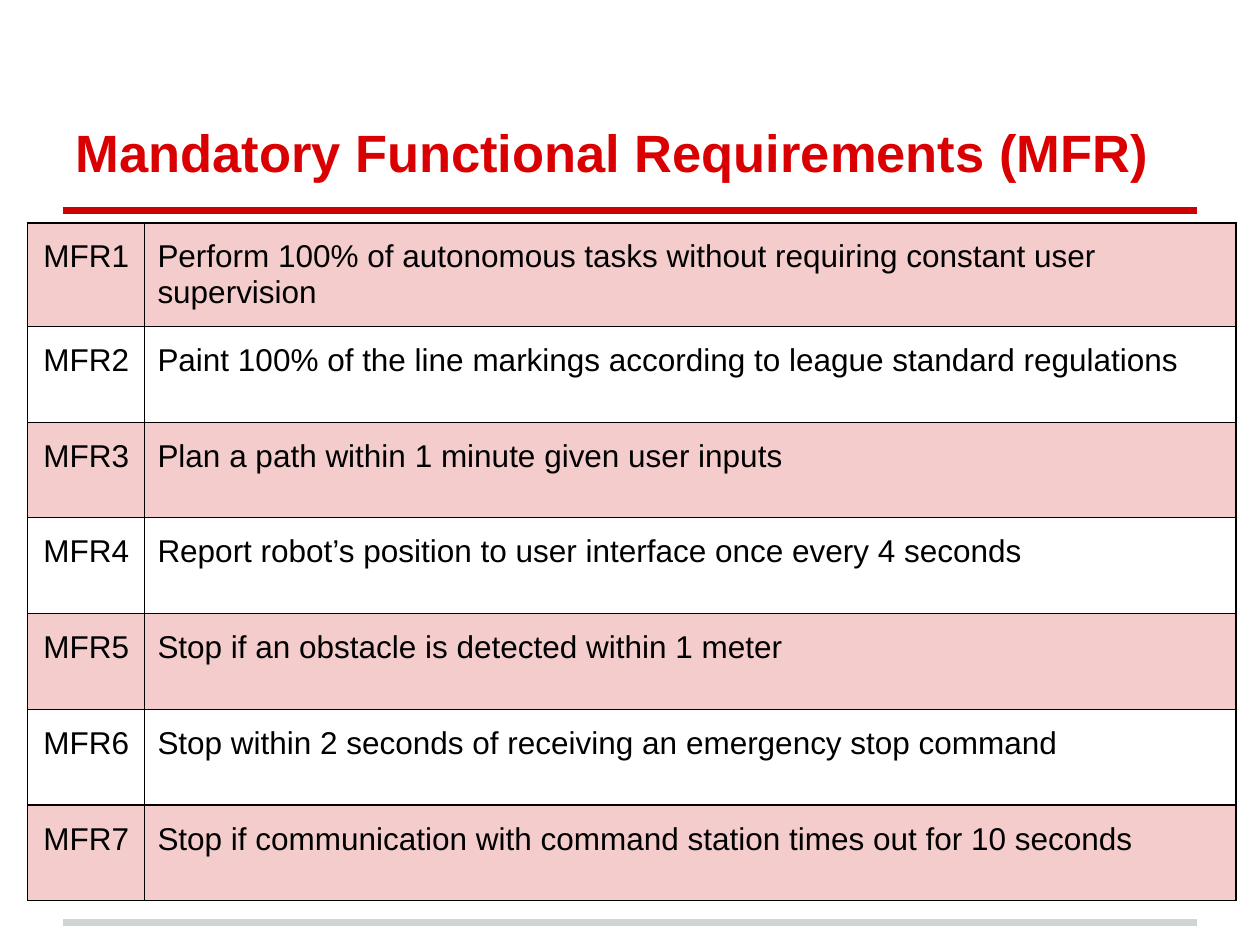
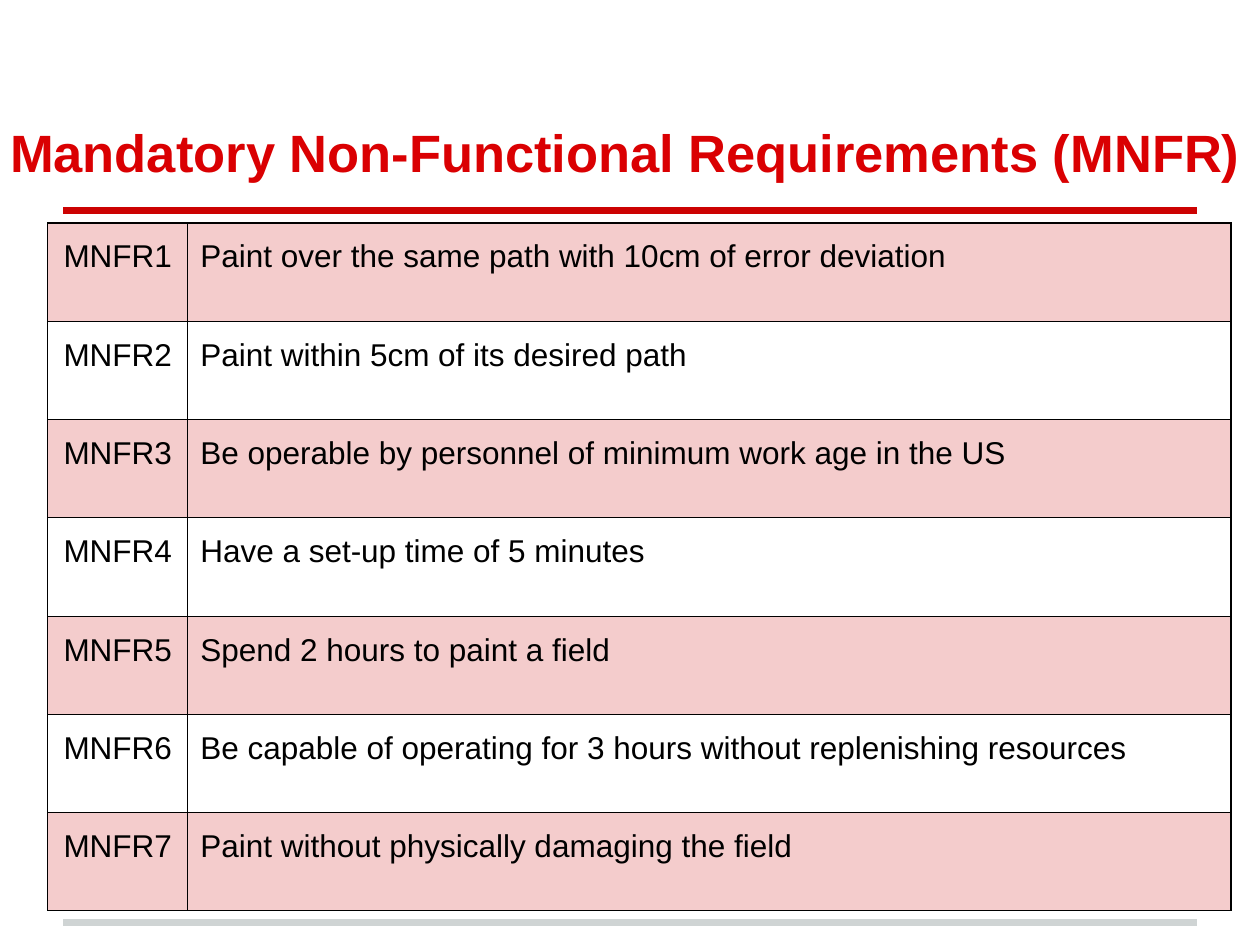
import pptx
import pptx.dml.color
import pptx.enum.shapes
import pptx.enum.text
import pptx.oxml
import pptx.util
from pptx.util import Inches

HEX = {"title": "DA0002", "rule": "CC0202", "foot": "CFD4D4",
       "band": "F4CCCC", "text": "000000", "edge": "000000"}
FONTS = {"title": {"name": "Arial", "size": pptx.util.Pt(30), "bold": True},
         "text": {"name": "Arial", "size": pptx.util.Pt(18), "bold": False}}
ALIGN = pptx.enum.text.PP_ALIGN
NS = 'xmlns:a="http://schemas.openxmlformats.org/drawingml/2006/main"'

SLIDES = [
    {"title": "Mandatory Functional Requirements (MFR)",
     "head": (0.5, 0.3, 9, 1.25), "code": "MFR",
     "grid": (0.22, 1.77), "cols": (0.93, 8.66), "rows": (0.81,) + (0.76,) * 6,
     "items": ["Perform 100% of autonomous tasks without requiring constant user supervision",
               "Paint 100% of the line markings according to league standard regulations",
               "Plan a path within 1 minute given user inputs",
               "Report robot’s position to user interface once every 4 seconds",
               "Stop if an obstacle is detected within 1 meter",
               "Stop within 2 seconds of receiving an emergency stop command",
               "Stop if communication with command station times out for 10 seconds"]},
    {"title": "Mandatory Non-Functional Requirements (MNFR)",
     "head": (-0.02, 0.3, 10, 1.25), "code": "MNFR",
     "grid": (0.38, 1.77), "cols": (1.11, 8.28), "rows": (0.78,) * 7,
     "items": ["Paint over the same path with 10cm of error deviation",
               "Paint within 5cm of its desired path",
               "Be operable by personnel of minimum work age in the US",
               "Have a set-up time of 5 minutes",
               "Spend 2 hours to paint a field",
               "Be capable of operating for 3 hours without replenishing resources",
               "Paint without physically damaging the field"]},
]


def tint(name):
    """Return the named colour."""
    return pptx.dml.color.RGBColor.from_string(HEX[name])


def apply(obj, values):
    """Set each attribute in the dict of values."""
    for key, value in values.items():
        setattr(obj, key, value)


def write(frame, text, style, align):
    """Put one styled paragraph in the text frame."""
    frame.text = text
    para = frame.paragraphs[0]
    para.alignment = align
    font = para.runs[0].font
    apply(font, FONTS[style])
    font.color.rgb = tint(style)


def add_rule(slide, left, top, width, name):
    """Draw a thick level rule."""
    line = slide.shapes.add_connector(
        pptx.enum.shapes.MSO_CONNECTOR.STRAIGHT,
        Inches(left), Inches(top), Inches(left + width), Inches(top))
    line.line.color.rgb = tint(name)
    line.line.width = pptx.util.Pt(4)
    line._element.spPr.append(pptx.oxml.parse_xml(f"<a:effectLst {NS}/>"))


def add_head(slide, text, box):
    """Place and fill the title."""
    head = slide.shapes.title
    apply(head, dict(zip(("left", "top", "width", "height"), map(Inches, box))))
    frame = head.text_frame
    apply(frame, {"word_wrap": True,
                  "auto_size": pptx.enum.text.MSO_AUTO_SIZE.NONE,
                  "vertical_anchor": pptx.enum.text.MSO_ANCHOR.BOTTOM})
    apply(frame, {"margin_" + side: Inches(0.1)
                  for side in ("left", "top", "right", "bottom")})
    write(frame, text, "title", ALIGN.LEFT)


def edge_cell(cell):
    """Draw thin lines on all four sides of a cell."""
    props = cell._tc.get_or_add_tcPr()
    for side in "LRTB":
        props.append(pptx.oxml.parse_xml(
            f'<a:ln{side} {NS} w="9525"><a:solidFill>'
            f'<a:srgbClr val="{HEX["edge"]}"/></a:solidFill></a:ln{side}>'))


def fill_cell(cell, text, align, band):
    """Format one cell and write its text."""
    apply(cell, {"margin_left": Inches(0.1), "margin_right": Inches(0.1),
                 "margin_top": Inches(0.13), "margin_bottom": Inches(0.13),
                 "vertical_anchor": pptx.enum.text.MSO_ANCHOR.TOP})
    edge_cell(cell)
    if band:
        cell.fill.solid()
        cell.fill.fore_color.rgb = tint("band")
    else:
        cell.fill.background()
    write(cell.text_frame, text, align=align, style="text")


def add_grid(slide, data):
    """Build the table of numbered needs."""
    left, top = data["grid"]
    cols, rows = data["cols"], data["rows"]
    grid = slide.shapes.add_table(
        len(rows), len(cols), Inches(left), Inches(top),
        Inches(sum(cols)), Inches(sum(rows))).table
    apply(grid, {"first_row": False, "horz_banding": False})
    for col, width in zip(grid.columns, cols):
        col.width = Inches(width)
    for row, high in zip(grid.rows, rows):
        row.height = Inches(high)
    for num, item in enumerate(data["items"]):
        band = num % 2 == 0
        fill_cell(grid.cell(num, 0), f"{data['code']}{num + 1}", ALIGN.CENTER, band)
        fill_cell(grid.cell(num, 1), item, ALIGN.LEFT, band)


def add_page(deck, data):
    """Build one slide with its title, rules and table."""
    slide = deck.slides.add_slide(deck.slide_layouts[5])
    add_rule(slide, 0.5, 7.32, 9, "foot")
    add_rule(slide, 0.5, 1.67, 9, "rule")
    add_head(slide, data["title"], data["head"])
    add_grid(slide, data)


def main():
    """Build and save the deck."""
    deck = pptx.Presentation()
    apply(deck, {"slide_width": Inches(10), "slide_height": Inches(7.5)})
    for data in SLIDES:
        add_page(deck, data)
    deck.save("out.pptx")


if __name__ == "__main__":
    main()
